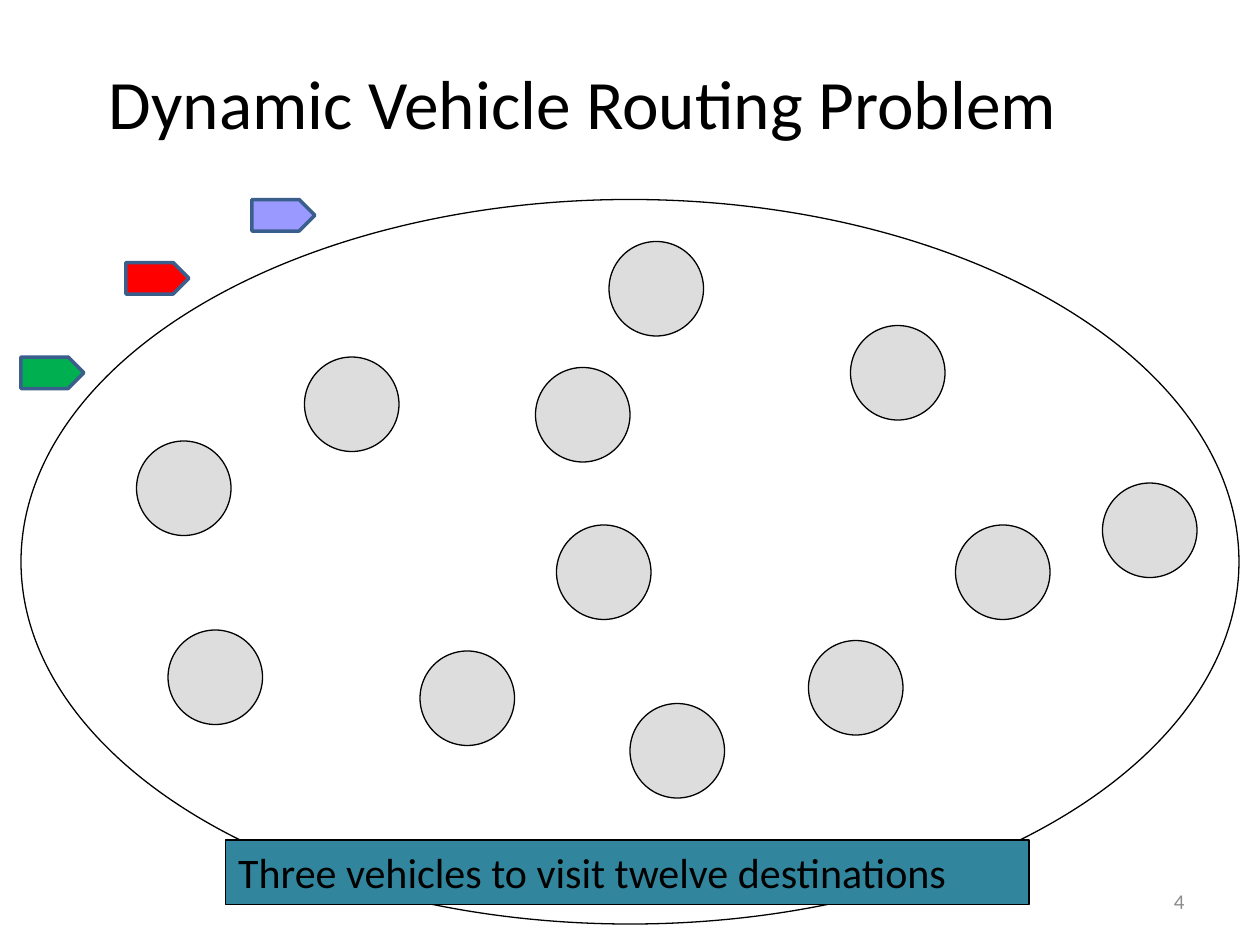
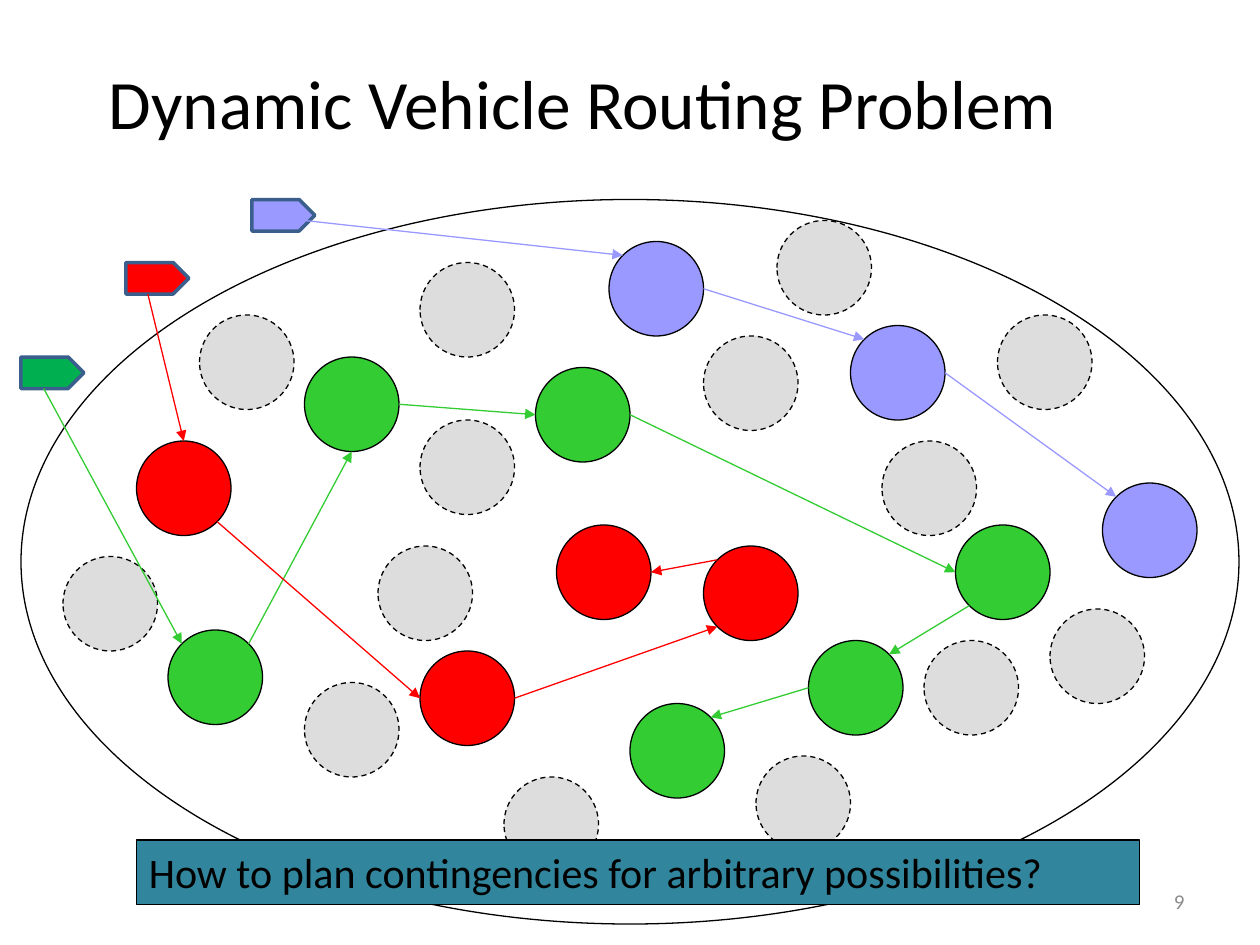
from math import sqrt
from lxml.etree import SubElement
from pptx import Presentation
from pptx.dml.color import RGBColor
from pptx.enum.dml import MSO_LINE
from pptx.enum.shapes import MSO_CONNECTOR, MSO_SHAPE
from pptx.enum.text import MSO_ANCHOR, PP_ALIGN
from pptx.oxml.ns import qn
from pptx.util import Pt

FONT = "Calibri"
BLACK = RGBColor(0x00, 0x00, 0x00)
GREY = RGBColor(0xDD, 0xDD, 0xDD)
NUMBER_GREY = RGBColor(0x8C, 0x8C, 0x8C)
TEAL = RGBColor(0x31, 0x85, 0x9C)
VEHICLE_EDGE = RGBColor(0x3A, 0x5F, 0x8C)
BLUE = RGBColor(0x99, 0x99, 0xFF)
RED = RGBColor(0xFF, 0x00, 0x00)
GREEN = RGBColor(0x33, 0xCC, 0x33)
VEHICLE_GREEN = RGBColor(0x00, 0xB0, 0x50)

# Boxes on the slide: left, top, width, height in points
TITLE_BOX = (36, 9.5, 594, 102)
FIELD_BOX = (12, 114, 696, 414)
NUMBER_BOX = (516, 500.4, 168, 28.8)
CAPTION_TOP, CAPTION_HEIGHT = 480, 36.7

STOP = 54              # diameter of a destination
VEHICLE = (36, 18)
THIN = 0.74

# Top left corners, relative to the field
DESTINATIONS = {
    "A": (450, 252), "B": (228, 258), "C": (474, 72), "D": (162, 90),
    "E": (84, 246), "F": (294, 96), "G": (534, 186), "H": (66, 138),
    "I": (306, 186), "J": (348, 288), "K": (336, 24), "L": (618, 162),
}
NEW_DESTINATION = {"M": (390, 198)}
POSSIBLE = [
    (228, 36), (228, 126), (102, 66), (162, 276), (276, 330), (24, 204),
    (390, 78), (492, 138), (588, 234), (420, 318), (516, 252), (558, 66),
    (432, 12), (204, 198),
]
# Vehicle: position, fill, point where its route leaves it
VEHICLES = {
    "blue": ((132, 0), BLUE, (30, 12)),
    "green": ((0, 90), VEHICLE_GREEN, (13, 18)),
    "red": ((60, 36), RED, (12.5, 18)),
}
# Route: colour, first arrival, then legs (from, side, to, side)
ROUTES = {
    "green": (GREEN, ("E", "NW"), [
        ("E", "NE", "D", "S"), ("D", "E", "F", "W"), ("F", "E", "G", "W"),
        ("G", "SW", "A", "NE"), ("A", "W", "J", "NE")]),
    "red": (RED, ("H", "N"), [
        ("H", "SE", "B", "W"), ("B", "E", "M", "SW"), ("M", "NW", "I", "E")]),
    "blue": (BLUE, ("K", "NW"), [
        ("K", "E", "C", "NW"), ("C", "E", "L", "NW")]),
}


def add_outline(slide, kind, box, fill, edge=BLACK, weight=THIN):
    shape = slide.shapes.add_shape(kind, *map(Pt, box))
    shape.shadow.inherit = False
    if fill is None:
        shape.fill.background()
    else:
        shape.fill.solid()
        shape.fill.fore_color.rgb = fill
    shape.line.color.rgb = edge
    shape.line.width = Pt(weight)
    return shape


def write(frame, text, size, color, align, anchor):
    frame.word_wrap = True
    frame.vertical_anchor = anchor
    paragraph = frame.paragraphs[0]
    paragraph.alignment = align
    run = paragraph.add_run()
    run.text = text
    run.font.name, run.font.size = FONT, Pt(size)
    run.font.color.rgb = color
    return paragraph


def add_label(slide, box, *style):
    label = slide.shapes.add_textbox(*map(Pt, box))
    return write(label.text_frame, *style)


def add_arrow(slide, start, end, color):
    arrow = slide.shapes.add_connector(
        MSO_CONNECTOR.STRAIGHT, *map(Pt, (*start, *end)))
    arrow.line.color.rgb = color
    arrow.line.width = Pt(THIN)
    SubElement(arrow.line._get_or_add_ln(), qn("a:tailEnd"), type="triangle")
    SubElement(arrow._element.spPr, qn("a:effectLst"))


def rim(corner, side):
    """Point on the edge of a destination at a compass side."""
    dx = ("E" in side) - ("W" in side)
    dy = ("S" in side) - ("N" in side)
    reach = STOP / 2 / sqrt(dx * dx + dy * dy)
    return corner[0] + STOP / 2 + dx * reach, corner[1] + STOP / 2 + dy * reach


def add_field(slide, box, planned):
    left, top = box[:2]

    def place(point):
        return left + point[0], top + point[1]

    def add_stop(corner, fill):
        return add_outline(slide, MSO_SHAPE.OVAL,
                           (*place(corner), STOP, STOP), fill)

    add_outline(slide, MSO_SHAPE.OVAL, box, None)

    # Destinations, coloured by the vehicle that visits them
    stops = {**DESTINATIONS, **NEW_DESTINATION} if planned else DESTINATIONS
    visitor = {}
    if planned:
        for color, (first, _), legs in ROUTES.values():
            visitor[first] = color
            visitor.update({leg[2]: color for leg in legs})
    for name, corner in stops.items():
        add_stop(corner, visitor.get(name, GREY))

    # Legs between destinations, and destinations that may yet appear
    if planned:
        for color, _, legs in ROUTES.values():
            for origin, leave, target, arrive in legs:
                add_arrow(slide, place(rim(stops[origin], leave)),
                          place(rim(stops[target], arrive)), color)
        for corner in POSSIBLE:
            add_stop(corner, GREY).line.dash_style = MSO_LINE.DASH

    # Vehicles, each with the arrow to its first destination
    for name, (corner, fill, exit_point) in VEHICLES.items():
        add_outline(slide, MSO_SHAPE.PENTAGON, (*place(corner), *VEHICLE),
                    fill, VEHICLE_EDGE, 2)
        if planned:
            color, (first, arrive), _ = ROUTES[name]
            start = corner[0] + exit_point[0], corner[1] + exit_point[1]
            add_arrow(slide, place(start),
                      place(rim(stops[first], arrive)), color)


def add_caption(slide, box, text):
    band = add_outline(slide, MSO_SHAPE.RECTANGLE, box, TEAL, weight=0.75)
    write(band.text_frame, text, 24, BLACK, PP_ALIGN.LEFT, MSO_ANCHOR.TOP)


def add_routing_slide(deck, number, caption, caption_left, caption_width,
                      planned):
    slide = deck.slides.add_slide(deck.slide_layouts[6])
    add_field(slide, FIELD_BOX, planned)
    title = add_label(slide, TITLE_BOX, "Dynamic Vehicle Routing Problem",
                      39.6, BLACK, PP_ALIGN.CENTER, MSO_ANCHOR.MIDDLE)
    title.line_spacing = 0.93
    add_caption(slide, (caption_left, CAPTION_TOP, caption_width,
                        CAPTION_HEIGHT), caption)
    add_label(slide, NUMBER_BOX, number, 12, NUMBER_GREY,
              PP_ALIGN.RIGHT, MSO_ANCHOR.MIDDLE)


deck = Presentation()
deck.slide_width, deck.slide_height = Pt(720), Pt(540)
add_routing_slide(deck, "4", "Three vehicles to visit twelve destinations",
                  129, 459, planned=False)
add_routing_slide(deck, "9",
                  "How to plan contingencies for arbitrary possibilities?",
                  78, 573, planned=True)
deck.save("out.pptx")
